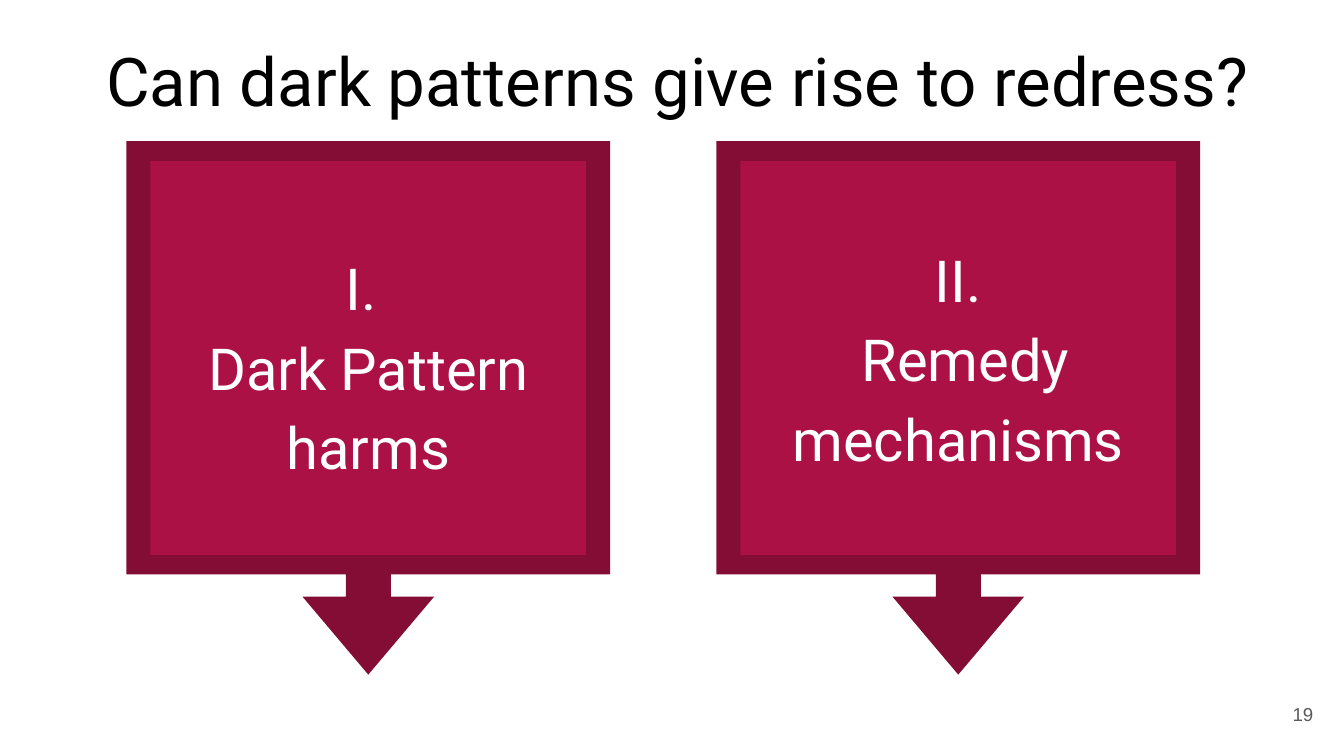
from dataclasses import dataclass

from pptx import Presentation
from pptx.dml.color import RGBColor
from pptx.enum.shapes import MSO_SHAPE
from pptx.enum.text import MSO_ANCHOR, MSO_AUTO_SIZE, PP_ALIGN
from pptx.util import Inches, Pt

CALLOUT = MSO_SHAPE.RIGHT_ARROW_CALLOUT
RECTANGLE = MSO_SHAPE.RECTANGLE
MIDDLE, TOP = MSO_ANCHOR.MIDDLE, MSO_ANCHOR.TOP
CENTER, RIGHT = PP_ALIGN.CENTER, PP_ALIGN.RIGHT
NO_AUTOFIT = MSO_AUTO_SIZE.NONE
TITLE_ONLY = 5


@dataclass(frozen=True)
class Theme:
    frame: RGBColor = RGBColor(0x84, 0x0D, 0x35)
    panel: RGBColor = RGBColor(0xAC, 0x11, 0x45)
    light: RGBColor = RGBColor(0xFF, 0xFF, 0xFF)
    dark: RGBColor = RGBColor(0, 0, 0)
    muted: RGBColor = RGBColor(0x59, 0x59, 0x59)
    font: str = "Roboto"
    number_font: str = "Arial"
    title_size: int = 36
    label_size: int = 31
    number_size: int = 10


THEME = Theme()


def inches(*values):
    return [Inches(value) for value in values]


def write(shape, text, font, size, color, align, anchor, spacing=1.0):
    """Fill a shape with evenly formatted text."""
    frame = shape.text_frame
    frame.text = text
    frame.word_wrap = True
    frame.auto_size = NO_AUTOFIT
    frame.vertical_anchor = anchor
    frame.margin_left = frame.margin_right = Inches(0.1)
    frame.margin_top = frame.margin_bottom = Inches(0.1)
    for para in frame.paragraphs:
        para.alignment = align
        para.line_spacing = spacing
        para.space_before = Pt(0)
        for span in para.runs:
            span.font.name = font
            span.font.size = Pt(size)
            span.font.color.rgb = color


def add_block(parent, kind, box, color):
    block = parent.shapes.add_shape(kind, *inches(*box))
    block.shadow.inherit = False
    block.fill.solid()
    block.fill.fore_color.rgb = color
    block.line.fill.background()
    return block


def add_title(page, box, text):
    title = page.shapes.title
    title.left, title.top, title.width, title.height = inches(*box)
    write(title, text, THEME.font, THEME.title_size, THEME.dark, CENTER, MIDDLE)


def add_callout(page, box, label, label_x, label_y):
    """Framed panel with a label, pointing down out of the given box."""
    left, top, width, height = box
    group = page.shapes.add_group_shape()

    # The right-pointing callout is turned about the centre of the box
    turn = (height - width) / 2
    callout = add_block(group, CALLOUT, (left - turn, top + turn, height, width),
                        THEME.frame)
    callout.rotation = 90
    for index, value in enumerate((0.093, 0.136, 0.161, 0.812)):
        callout.adjustments[index] = value

    # Inner panel
    panel_width = 3.24
    add_block(group, RECTANGLE,
              (left + (width - panel_width) / 2, top + 0.15, panel_width, 2.93),
              THEME.panel)

    # Label, centred across the panel
    text_box = group.shapes.add_textbox(
        *inches(left + label_x, top + label_y, width - 2 * label_x, 1.68))
    write(text_box, label, THEME.font, THEME.label_size, THEME.light,
          CENTER, TOP, 1.15)


def add_page_number(page, box, number):
    text_box = page.shapes.add_textbox(*inches(*box))
    write(text_box, number, THEME.number_font, THEME.number_size, THEME.muted,
          RIGHT, MIDDLE)


def main():
    deck = Presentation()
    # Widescreen, 16:9
    deck.slide_width, deck.slide_height = inches(10, 10 * 9 / 16)
    page = deck.slides.add_slide(deck.slide_layouts[TITLE_ONLY])

    add_title(page, (0.38, 0.13, 9.32, 0.92),
              "Can dark patterns give rise to redress?")

    # Two equal callouts: label, horizontal inset, vertical offset
    topics = (
        ("I. \vDark Pattern harms", 0.31, 0.65),
        ("II.\n Remedy mechanisms", 0.18, 0.59),
    )
    for column, (label, label_x, label_y) in enumerate(topics):
        add_callout(page, (0.94 + column * 4.39, 1.05, 3.6, 3.97),
                    label, label_x, label_y)

    add_page_number(page, (9.27, 5.1, 0.6, 0.43), "19")
    deck.save("out.pptx")


if __name__ == "__main__":
    main()
